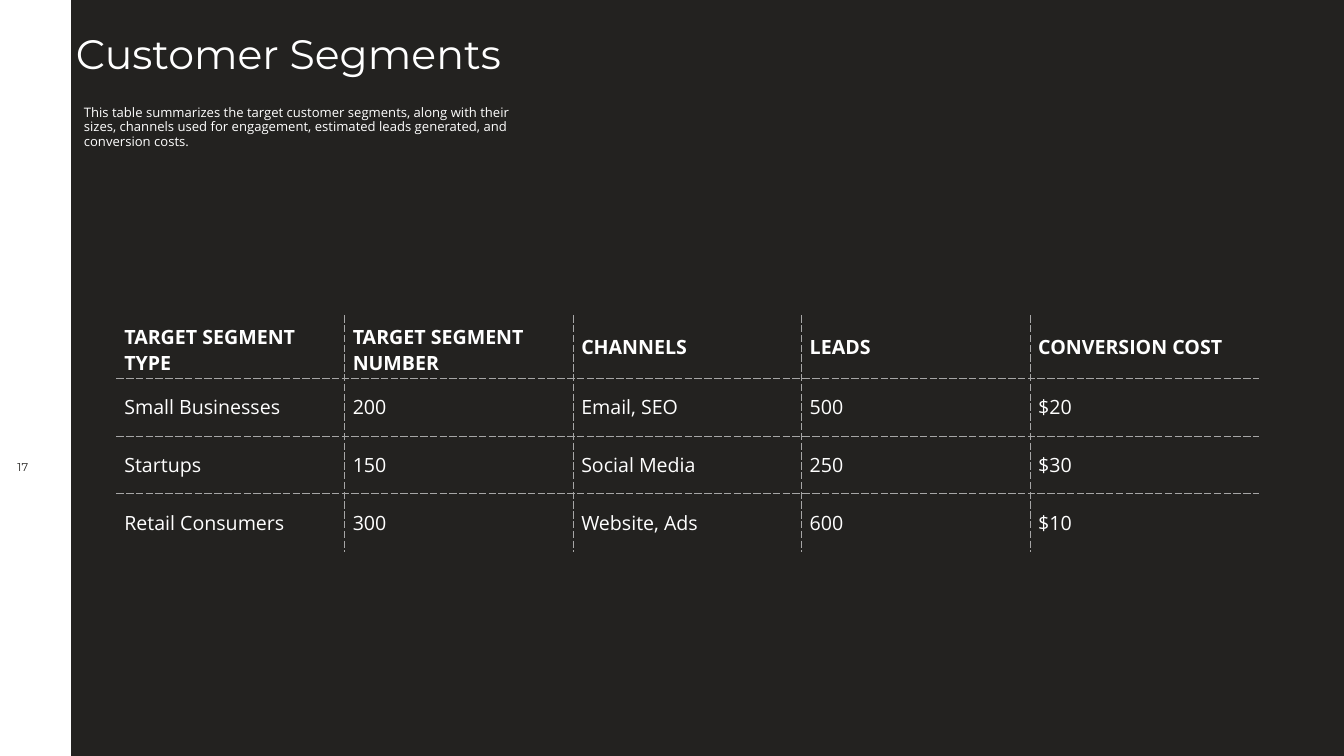
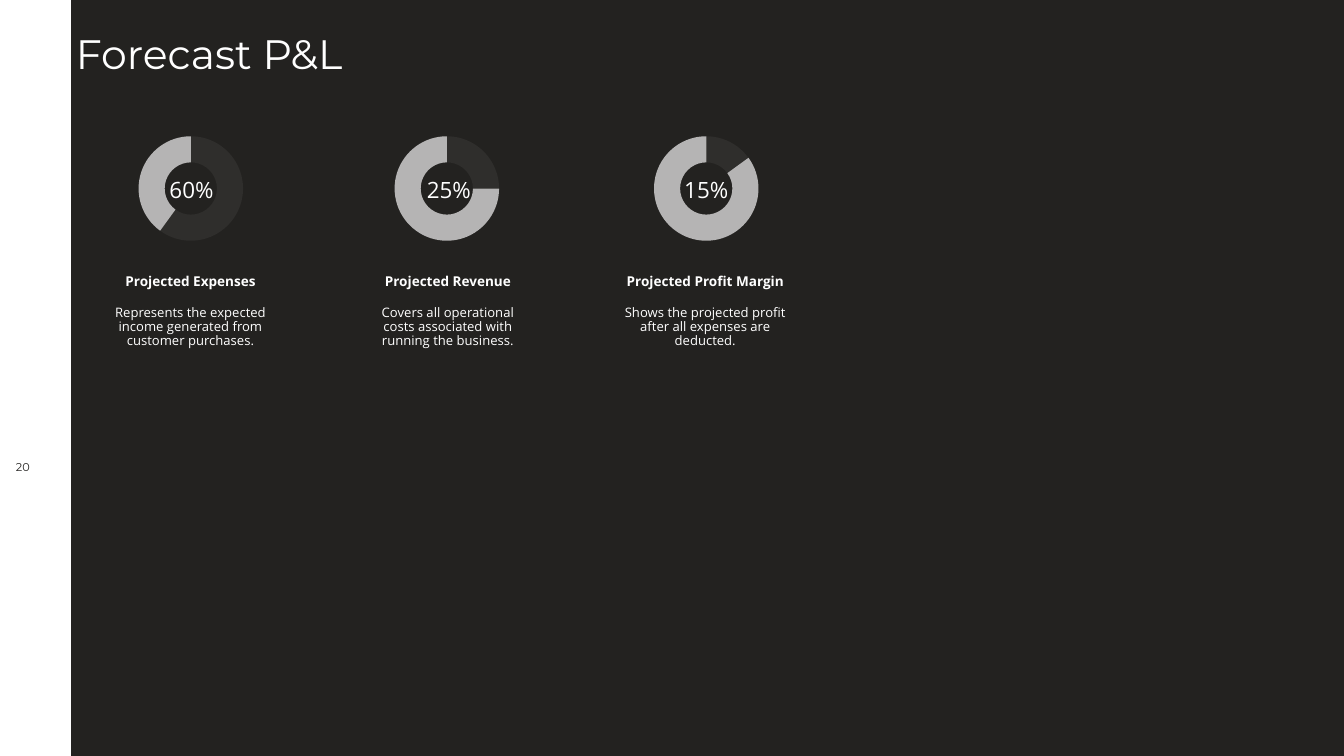
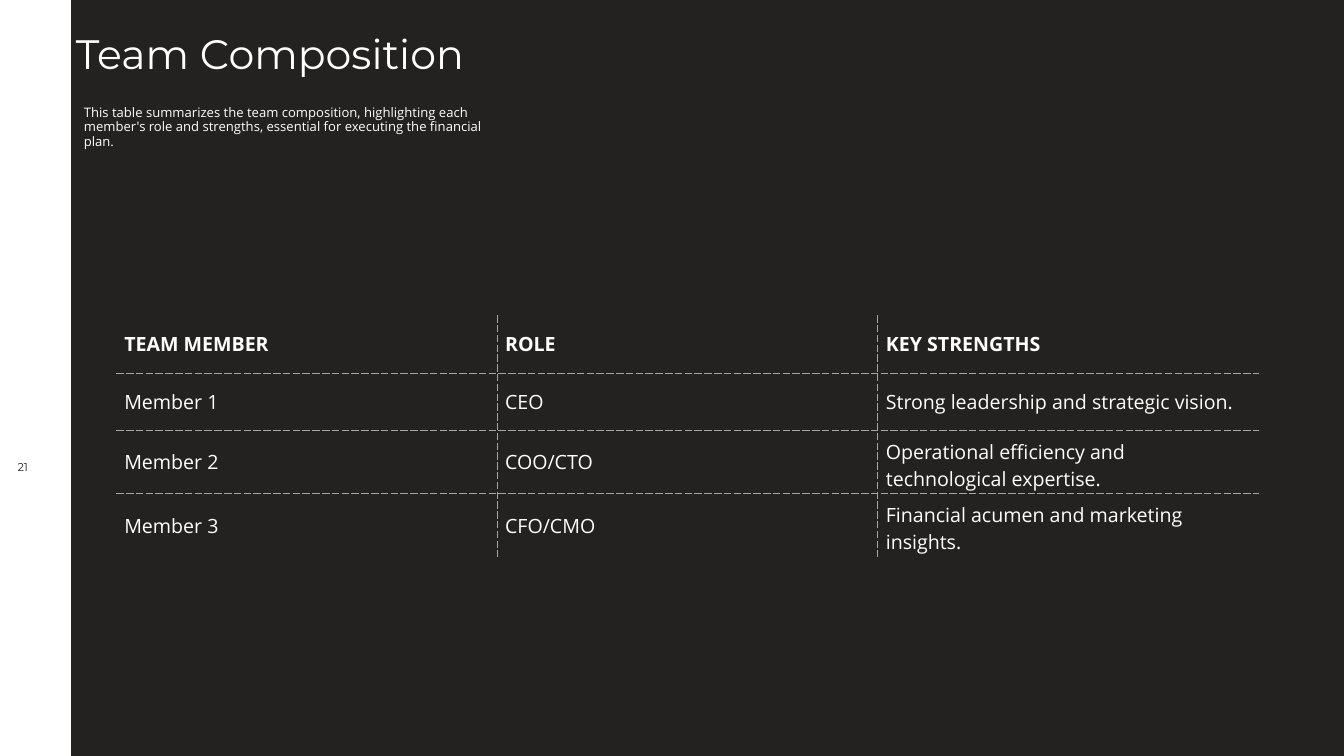
from lxml import etree
from pptx import Presentation
from pptx import util as u
from pptx.chart import data as chart_data
from pptx.dml import color
from pptx.enum import chart as charts, shapes, text
from pptx.oxml import ns, parse_xml

DARK, WHITE, DASH = "232220", "FFFFFF", "A6A6A6"
RING_COLORS = ("2F2E2C", "B5B4B4")
RING_LINE = "F9F9F9"
HEADING_FONT, BODY_FONT = "Montserrat", "Open Sans"
WIDTH, HEIGHT, BAND = 20, 11.25, 1.04

SEGMENTS = {
    "title": "Customer Segments",
    "number": "17",
    "summary": "This table summarizes the target customer segments, along with their sizes, "
               "channels used for engagement, estimated leads generated, and conversion costs.",
    "heights": (0.94, 0.86, 0.86, 0.86),
    "rows": [
        ("TARGET SEGMENT TYPE", "TARGET SEGMENT NUMBER", "CHANNELS", "LEADS", "CONVERSION COST"),
        ("Small Businesses", "200", "Email, SEO", "500", "$20"),
        ("Startups", "150", "Social Media", "250", "$30"),
        ("Retail Consumers", "300", "Website, Ads", "600", "$10"),
    ],
}
FORECAST = {
    "title": "Forecast P&L",
    "number": "20",
    "rings": [
        (1.72, 60, "Projected Expenses",
         "Represents the expected income generated from customer purchases."),
        (5.53, 25, "Projected Revenue",
         "Covers all operational costs associated with running the business."),
        (9.39, 15, "Projected Profit Margin",
         "Shows the projected profit after all expenses are deducted."),
    ],
}
TEAM = {
    "title": "Team Composition",
    "number": "21",
    "summary": "This table summarizes the team composition, highlighting each member's role "
               "and strengths, essential for executing the financial plan.",
    "heights": (0.86, 0.86, 0.94, 0.94),
    "rows": [
        ("TEAM MEMBER", "ROLE", "KEY STRENGTHS"),
        ("Member 1", "CEO", "Strong leadership and strategic vision."),
        ("Member 2", "COO/CTO", "Operational efficiency and technological expertise."),
        ("Member 3", "CFO/CMO", "Financial acumen and marketing insights."),
    ],
}


def rgb(value):
    return color.RGBColor.from_string(value)


def box(*lengths):
    return [u.Inches(length) for length in lengths]


def write(frame, words, size=14, font=BODY_FONT, fill=WHITE, bold=False,
          align=text.PP_ALIGN.LEFT, anchor=text.MSO_ANCHOR.MIDDLE, spacing=1.0):
    frame.word_wrap = True
    frame.vertical_anchor = anchor
    paragraph = frame.paragraphs[0]
    paragraph.alignment = align
    paragraph.line_spacing = spacing
    run = paragraph.add_run()
    run.text = words
    run.font.size = u.Pt(size)
    run.font.name = font
    run.font.bold = bold
    run.font.color.rgb = rgb(fill)


def add_text(slide, place, words, **style):
    write(slide.shapes.add_textbox(*box(*place)).text_frame, words, **style)


def add_band(slide, layout):
    band = slide.shapes.add_shape(shapes.MSO_SHAPE.RECTANGLE, *box(0, 0, BAND, HEIGHT))
    band.shadow.inherit = False
    band.fill.solid()
    band.fill.fore_color.rgb = rgb(WHITE)
    band.line.fill.background()
    edge = slide.shapes.add_connector(shapes.MSO_CONNECTOR.STRAIGHT, *box(BAND, 0, BAND, HEIGHT))
    edge.line.color.rgb = rgb(WHITE)
    edge.line.width = u.Pt(1.5)
    etree.SubElement(edge.element.spPr, ns.qn("a:effectLst"))
    for offset, shape in enumerate((band, edge)):
        shape.element.xpath(".//p:cNvPr")[0].set("id", str(101 + offset))
        layout.shapes.element.insert(2 + offset, shape.element)


def start_slide(presentation, layout, content):
    slide = presentation.slides.add_slide(layout)
    title = slide.shapes.title
    title.left, title.top, title.width, title.height = box(1.03, 0.33, 11.26, 0.93)
    frame = title.text_frame
    frame.auto_size = text.MSO_AUTO_SIZE.NONE
    frame.margin_top = u.Inches(0.1)
    write(frame, content["title"], size=44, font=HEADING_FONT, anchor=text.MSO_ANCHOR.TOP)
    add_text(slide, (0, 6.75, 0.68, 0.39), content["number"], size=12.1,
             font=HEADING_FONT, fill=DARK, align=text.PP_ALIGN.CENTER)
    return slide


def add_border(properties, side, visible):
    line = etree.SubElement(properties, ns.qn(f"a:ln{side}"), w=str(u.Pt(1)))
    if visible:
        fill = etree.SubElement(line, ns.qn("a:solidFill"))
        etree.SubElement(fill, ns.qn("a:srgbClr"), val=DASH)
        etree.SubElement(line, ns.qn("a:prstDash"), val="sysDash")
    else:
        etree.SubElement(line, ns.qn("a:noFill"))


def add_grid(slide, content):
    rows, heights = content["rows"], content["heights"]
    last_row, last_column = len(rows) - 1, len(rows[0]) - 1
    frame = slide.shapes.add_table(len(rows), len(rows[0]), *box(1.73, 4.69, 17, sum(heights)))
    table = frame.table
    table.first_row = table.horz_banding = False
    for row, height in zip(table.rows, heights):
        row.height = u.Inches(height)
    cell_elements = iter(frame.element.xpath(".//a:tc"))
    for r, row in enumerate(rows):
        for c, words in enumerate(row):
            cell = table.cell(r, c)
            cell.margin_left = cell.margin_right = u.Inches(0.12)
            cell.margin_top = cell.margin_bottom = u.Inches(0.12)
            cell.vertical_anchor = text.MSO_ANCHOR.MIDDLE
            write(cell.text_frame, words, size=21, bold=r == 0)
            properties = next(cell_elements).get_or_add_tcPr()
            inner = {"L": c > 0, "R": c < last_column, "T": r > 0, "B": r < last_row}
            for side, visible in inner.items():
                add_border(properties, side, visible)
            cell.fill.background()


def add_table_slide(presentation, layout, content):
    slide = start_slide(presentation, layout, content)
    add_grid(slide, content)
    add_text(slide, (1.15, 1.47, 6.6, 0.86), content["summary"], spacing=0.9)
    return slide


def add_ring(slide, left, share):
    values = chart_data.CategoryChartData()
    values.categories = ["1", "2"]
    values.add_series("Series 1", (share, 100 - share))
    chart = slide.shapes.add_chart(charts.XL_CHART_TYPE.DOUGHNUT,
                                   *box(left, 1.9, 2.24, 1.83), values).chart
    chart.has_legend = chart.has_title = False
    chart.font.size = u.Pt(10)
    chart.font.name = BODY_FONT
    chart.font.color.rgb = rgb(WHITE)
    plot = chart.plots[0]
    plot.vary_by_categories = True
    series = plot.series[0]
    series.format.line.color.rgb = rgb(RING_LINE)
    series.format.line.width = u.Pt(0.75)
    for index, fill in enumerate(RING_COLORS):
        point = series.points[index].format
        point.fill.solid()
        point.fill.fore_color.rgb = rgb(fill)
        point.line.fill.background()
    root = chart.element
    root.xpath(".//c:holeSize")[0].set("val", "90")
    area = root.xpath(".//c:plotArea")[0]
    for layout in area.xpath("./c:layout"):
        area.remove(layout)
    area.insert(0, parse_xml(
        f'<c:layout {ns.nsdecls("c")}><c:manualLayout><c:layoutTarget val="inner"/>'
        '<c:xMode val="edge"/><c:yMode val="edge"/><c:x val="0.15"/><c:y val="0.07"/>'
        '<c:w val="0.7"/><c:h val="0.85"/></c:manualLayout></c:layout>'))


def add_forecast_slide(presentation, layout, content):
    slide = start_slide(presentation, layout, content)
    centered = {"align": text.PP_ALIGN.CENTER}
    for index, (ring_left, share, heading, body) in enumerate(content["rings"]):
        left = 1.53 + 3.83 * index
        add_ring(slide, ring_left, share)
        add_text(slide, (left + 0.82, 2.57, 1, 0.5), f"{share}%", size=24, **centered)
        add_text(slide, (left, 3.85, 2.61, 0.51), heading, size=14.5, bold=True,
                 anchor=text.MSO_ANCHOR.BOTTOM, **centered)
        add_text(slide, (left, 4.51, 2.61, 2.61), body, spacing=0.9,
                 anchor=text.MSO_ANCHOR.TOP, **centered)


def main():
    presentation = Presentation()
    presentation.slide_width, presentation.slide_height = box(WIDTH, HEIGHT)
    background = presentation.slide_master.background.fill
    background.solid()
    background.fore_color.rgb = rgb(DARK)
    layout = presentation.slide_layouts[5]
    first_slide = add_table_slide(presentation, layout, SEGMENTS)
    add_band(first_slide, layout)
    add_forecast_slide(presentation, layout, FORECAST)
    add_table_slide(presentation, layout, TEAM)
    presentation.save("out.pptx")


if __name__ == "__main__":
    main()
